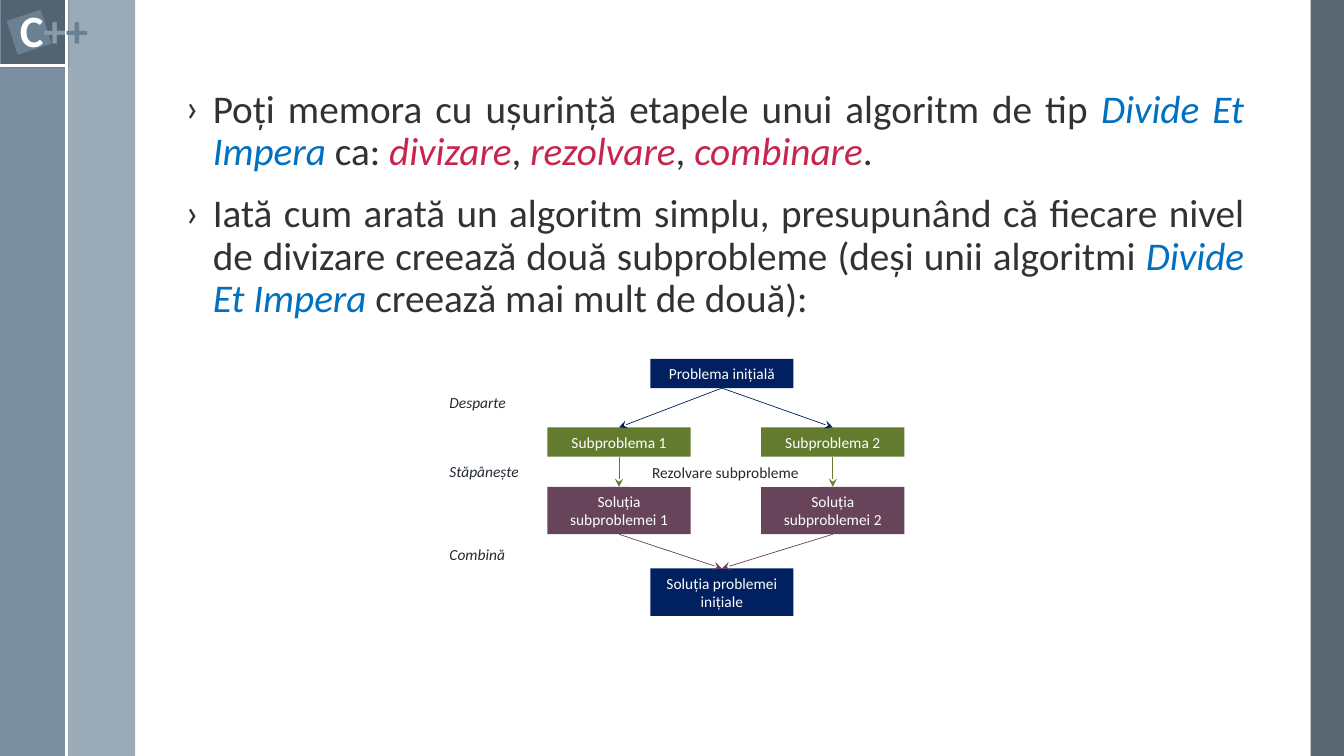
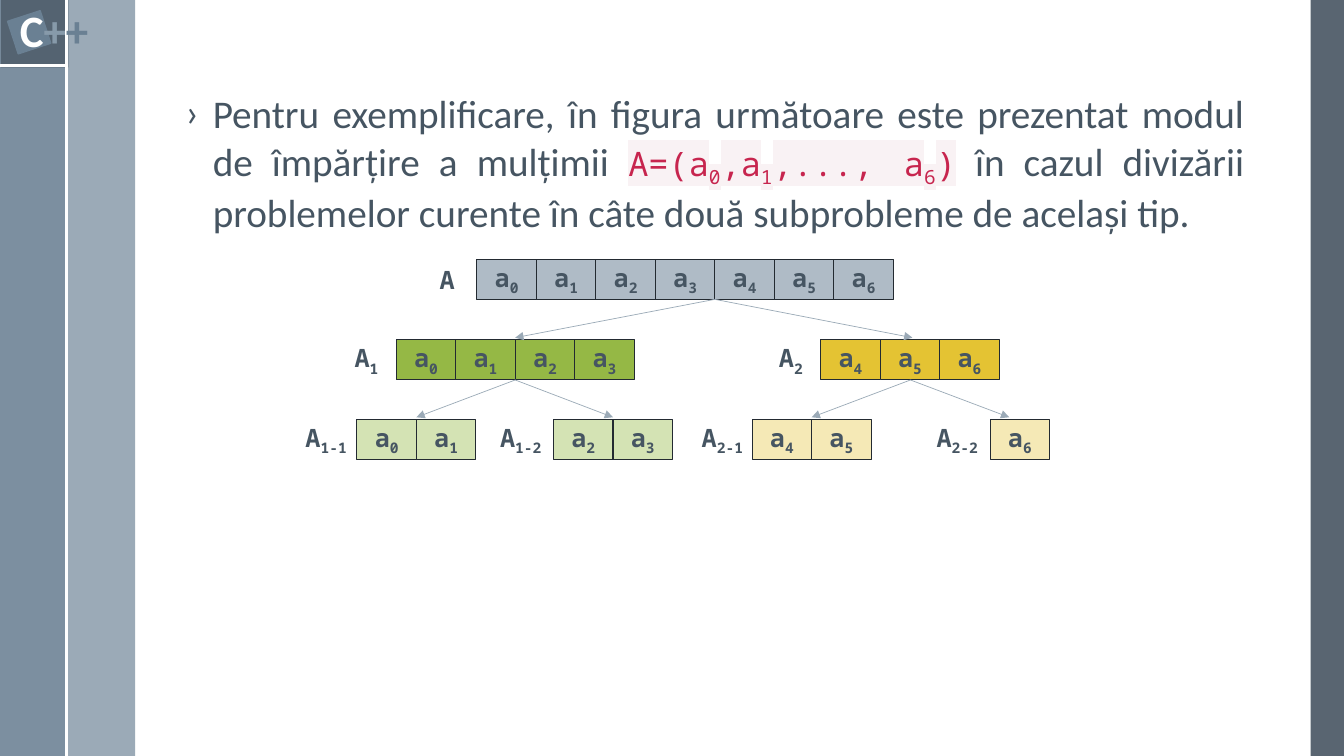
"""Build two slides that explain the Divide Et Impera technique."""
import dataclasses

import lxml.etree
import pptx
import pptx.dml.color
import pptx.enum.shapes
import pptx.enum.text
import pptx.oxml.ns
import pptx.shapes.autoshape
import pptx.shapes.base
import pptx.slide
import pptx.text.text
import pptx.util

RGBColor = pptx.dml.color.RGBColor
Align = pptx.enum.text.PP_ALIGN
qn = pptx.oxml.ns.qn

EMU_PER_PX = 9144
SLIDE_WIDTH, SLIDE_HEIGHT = 1333, 750
SANS, MONO = "Calibri", "Noto Sans Mono"

WHITE = RGBColor(0xFF, 0xFF, 0xFF)
DARK_SLATE = RGBColor(0x47, 0x55, 0x62)
SLATE = RGBColor(0x6A, 0x80, 0x93)
SOFT_SLATE = RGBColor(0x87, 0x9A, 0xAA)
LIGHT_SLATE = RGBColor(0x9B, 0xAA, 0xB7)
INK = RGBColor(0x23, 0x2A, 0x31)
BODY_GRAY = RGBColor(0x32, 0x32, 0x32)
BODY_SLATE = RGBColor(0x46, 0x55, 0x62)
BLUE = RGBColor(0x00, 0x70, 0xC0)
CRIMSON = RGBColor(0xC7, 0x25, 0x4E)
CODE_PINK = RGBColor(0xF9, 0xF2, 0xF4)
NAVY = RGBColor(0x00, 0x20, 0x60)
OLIVE = RGBColor(0x63, 0x7B, 0x2E)
PLUM = RGBColor(0x67, 0x44, 0x59)
CELL_GRAY = RGBColor(0xAF, 0xBB, 0xC6)
GREEN = RGBColor(0x95, 0xB8, 0x45)
GOLD = RGBColor(0xE4, 0xC3, 0x33)
PALE_GREEN = RGBColor(0xD4, 0xE3, 0xB4)
PALE_GOLD = RGBColor(0xF5, 0xE9, 0xB6)


@dataclasses.dataclass(frozen=True)
class TextRun:
    """A piece of text with its formatting."""
    text: str
    color: RGBColor
    size: int = 28
    font: str = SANS
    bold: bool = False
    italic: bool = False
    subscript: bool = False
    highlight: RGBColor | None = None


@dataclasses.dataclass(frozen=True)
class Area:
    """A rectangle in px."""
    left: int
    top: int
    width: int
    height: int

    @property
    def center(self) -> int:
        """Return the horizontal centre."""
        return self.left + self.width // 2

    @property
    def bottom(self) -> int:
        """Return the lower edge."""
        return self.top + self.height


@dataclasses.dataclass(frozen=True)
class Step:
    """A filled box of the flow diagram."""
    text: str
    area: Area
    color: RGBColor


@dataclasses.dataclass(frozen=True)
class Subset:
    """A row of cells in the division tree, with its label and arrow points."""
    index: str
    label_center: int
    left: int
    top: int
    first: int
    last: int
    color: RGBColor
    entry: int = 0
    split: int = 0


def px(value: int) -> pptx.util.Emu:
    """Turn px into EMU."""
    return pptx.util.Emu(value * EMU_PER_PX)


def bounds(area: Area) -> tuple[pptx.util.Emu, ...]:
    """Return an area as EMU lengths."""
    return tuple(px(value) for value in dataclasses.astuple(area))


def write_runs(paragraph: pptx.text.text._Paragraph, runs: list[TextRun]) -> None:
    """Add formatted runs to a paragraph."""
    for item in runs:
        run = paragraph.add_run()
        run.text = item.text
        run.font.size = pptx.util.Pt(item.size)
        run.font.name = item.font
        run.font.bold = item.bold
        run.font.italic = item.italic
        run.font.color.rgb = item.color
        properties = run._r.get_or_add_rPr()
        if item.subscript:
            properties.set("baseline", "-25000")
        if item.highlight is not None:
            highlight = lxml.etree.Element(qn("a:highlight"))
            lxml.etree.SubElement(highlight, qn("a:srgbClr"), val=str(item.highlight))
            properties.find(qn("a:solidFill")).addnext(highlight)


def add_rectangle(slide: pptx.slide.Slide, area: Area, color: RGBColor, opacity: int = 100,
                  outline: RGBColor | None = None, weight: float = 0.75) -> pptx.shapes.autoshape.Shape:
    """Add a flat rectangle."""
    shape = slide.shapes.add_shape(pptx.enum.shapes.MSO_SHAPE.RECTANGLE, *bounds(area))
    shape.shadow.inherit = False
    shape.fill.solid()
    shape.fill.fore_color.rgb = color
    if opacity < 100:
        color_element = shape.element.xpath("./p:spPr/a:solidFill/a:srgbClr")[0]
        lxml.etree.SubElement(color_element, qn("a:alpha"), val=str(opacity * 1000))
    if outline is None:
        shape.line.fill.background()
    else:
        shape.line.color.rgb = outline
        shape.line.width = pptx.util.Pt(weight)
    return shape


def fill_text(shape: pptx.shapes.autoshape.Shape, runs: list[TextRun],
              alignment: Align = Align.CENTER, wrap: bool = True) -> None:
    """Put one vertically centred paragraph into a shape."""
    frame = shape.text_frame
    frame.word_wrap = wrap
    frame.vertical_anchor = pptx.enum.text.MSO_ANCHOR.MIDDLE
    frame.paragraphs[0].alignment = alignment
    write_runs(frame.paragraphs[0], runs)


def add_line(slide: pptx.slide.Slide, start: tuple[int, int], end: tuple[int, int],
             color: RGBColor, weight: float, head: str = "") -> None:
    """Add a straight line, with an arrowhead at its end if one is named."""
    connector = slide.shapes.add_connector(
        pptx.enum.shapes.MSO_CONNECTOR.STRAIGHT, *(px(value) for value in start + end))
    connector.line.color.rgb = color
    connector.line.width = pptx.util.Pt(weight)
    if head:
        lxml.etree.SubElement(connector.element.xpath(".//a:ln")[0], qn("a:tailEnd"), type=head)
    lxml.etree.SubElement(connector.element.spPr, qn("a:effectLst"))


def draw_bands(slide: pptx.slide.Slide) -> None:
    """Draw the side bands and the corner mark."""
    add_rectangle(slide, Area(1300, 0, 33, SLIDE_HEIGHT), DARK_SLATE, 90)
    add_rectangle(slide, Area(67, 0, 67, SLIDE_HEIGHT), LIGHT_SLATE)
    add_rectangle(slide, Area(0, 0, 67, SLIDE_HEIGHT), SLATE, 88)
    add_rectangle(slide, Area(1, 0, 67, 67), DARK_SLATE, 75)
    add_line(slide, (0, 65), (66, 65), WHITE, 1.5)
    add_line(slide, (66, 0), (66, SLIDE_HEIGHT), WHITE, 1.5)
    add_rectangle(slide, Area(12, 15, 34, 34), SLATE, outline=SLATE, weight=1).rotation = 341.9
    mark = slide.shapes.add_textbox(*bounds(Area(19, 2, 69, 54)))
    frame = mark.text_frame
    frame.margin_left = frame.margin_right = frame.margin_top = frame.margin_bottom = 0
    letters = (("C", WHITE), ("+", SOFT_SLATE), ("+", SLATE))
    fill_text(mark, [TextRun(text, color, 32, bold=True) for text, color in letters], wrap=False)


def prepare_layout(slide: pptx.slide.Slide) -> None:
    """Move the bands into the slide's layout and place the layout's body."""
    layout = slide.slide_layout
    own_shapes = set(shape.shape_id for shape in slide.shapes)
    draw_bands(slide)
    bands = [shape for shape in slide.shapes if shape.shape_id not in own_shapes]
    for number, shape in enumerate(bands, 100):
        shape.element.xpath(".//p:cNvPr")[0].set("id", str(number))
        layout.shapes.element.append(shape.element)
    body = next(item for item in layout.placeholders if item.placeholder_format.idx == 1)
    body.left, body.top, body.width, body.height = bounds(Area(174, 84, 1070, 591))


def write_body(slide: pptx.slide.Slide, bullets: list[list[TextRun]], line_spacing: float) -> None:
    """Write the justified bullet list and drop the unused title."""
    title = slide.shapes.title.element
    title.getparent().remove(title)
    frame = slide.placeholders[1].text_frame
    frame.auto_size = pptx.enum.text.MSO_AUTO_SIZE.NONE
    frame.vertical_anchor = pptx.enum.text.MSO_ANCHOR.TOP
    for number, runs in enumerate(bullets):
        paragraph = frame.add_paragraph() if number else frame.paragraphs[0]
        paragraph.alignment = Align.JUSTIFY
        paragraph.line_spacing = line_spacing
        paragraph.space_before = pptx.util.Pt(14)
        properties = paragraph._p.get_or_add_pPr()
        properties.set("marL", str(px(27)))
        properties.set("indent", str(px(-27)))
        lxml.etree.SubElement(properties, qn("a:buFont"), typeface=SANS)
        lxml.etree.SubElement(properties, qn("a:buChar"), char="›")
        write_runs(paragraph, runs)


def draw_flow(slide: pptx.slide.Slide) -> None:
    """Draw the split, solve and combine diagram."""
    width, low, high = 142, 29, 47
    left, middle, right = 543, 645, 755
    problem = Step("Problema inițială", Area(middle, 356, width, low), NAVY)
    parts = [Step(f"Subproblema {number}", Area(x, 424, width, low), OLIVE)
             for number, x in enumerate((left, right), 1)]
    answers = [Step(f"Soluția subproblemei {number}", Area(x, 483, width, high), PLUM)
               for number, x in enumerate((left, right), 1)]
    solution = Step("Soluția problemei inițiale", Area(middle, 564, width, high), NAVY)
    for step in (problem, *parts, *answers, solution):
        fill_text(add_rectangle(slide, step.area, step.color), [TextRun(step.text, WHITE, 11)])
    for text, top in (("Desparte", 385), ("Stăpânește", 453), ("Combină", 535)):
        label = add_rectangle(slide, Area(436, top, 106, low), WHITE, outline=WHITE)
        fill_text(label, [TextRun(text, INK, 11, italic=True)], Align.LEFT)
    label = add_rectangle(slide, Area(625, 454, 189, low), WHITE, outline=WHITE)
    fill_text(label, [TextRun("Rezolvare subprobleme", INK, 11)])
    for part, answer in zip(parts, answers):
        for source, target in ((problem, part), (part, answer), (answer, solution)):
            add_line(slide, (source.area.center, source.area.bottom),
                     (target.area.center, target.area.top), source.color, 0.5, "stealth")


def cell_runs(letter: str, index: str) -> list[TextRun]:
    """Return a bold letter followed by its index, if any."""
    runs = [TextRun(letter, BODY_SLATE, 18, MONO, bold=True)]
    if index:
        runs.append(TextRun(index, BODY_SLATE, 18, MONO, bold=True, subscript=True))
    return runs


def draw_tree(slide: pptx.slide.Slide) -> None:
    """Draw the set A and its repeated division."""
    cell_width, cell_height, label_width = 59, 40, 63
    subsets = (
        Subset("", 443, 473, 257, 0, 6, CELL_GRAY, split=709),
        Subset("1", 363, 393, 337, 0, 3, GREEN, 511, 511),
        Subset("2", 784, 814, 337, 4, 6, GOLD, 905, 903),
        Subset("1-1", 323, 354, 416, 0, 1, PALE_GREEN, 413),
        Subset("1-2", 516, 549, 416, 2, 3, PALE_GREEN, 608),
        Subset("2-1", 716, 746, 416, 4, 5, PALE_GOLD, 805),
        Subset("2-2", 949, 982, 416, 6, 6, PALE_GOLD, 1001),
    )
    by_index = {subset.index: subset for subset in subsets}
    for subset in subsets:
        for position, number in enumerate(range(subset.first, subset.last + 1)):
            area = Area(subset.left + position * cell_width, subset.top, cell_width, cell_height)
            cell = add_rectangle(slide, area, subset.color, outline=INK)
            fill_text(cell, cell_runs("a", str(number)))
        label_area = Area(subset.label_center - label_width // 2, subset.top, label_width, cell_height)
        label = slide.shapes.add_textbox(*bounds(label_area))
        fill_text(label, cell_runs("A", subset.index), wrap=False)
    for subset in subsets[1:]:
        parent = by_index[subset.index.rpartition("-")[0]]
        add_line(slide, (parent.split, parent.top + cell_height),
                 (subset.entry, subset.top - 2), LIGHT_SLATE, 0.5, "triangle")


def flow_bullets() -> list[list[TextRun]]:
    """Return the text of the first slide."""
    def plain(text: str) -> TextRun:
        return TextRun(text, BODY_GRAY)

    def stage(text: str) -> TextRun:
        return TextRun(text, CRIMSON, italic=True)

    technique = TextRun("Divide Et Impera", BLUE, italic=True)
    return [
        [plain("Poți memora cu ușurință etapele unui algoritm de tip "), technique, plain(" ca: "),
         stage("divizare"), plain(", "), stage("rezolvare"), plain(", "), stage("combinare"), plain(".")],
        [plain("Iată cum arată un algoritm simplu, presupunând că fiecare nivel de divizare creează "
               "două subprobleme (deși unii algoritmi "), technique, plain(" creează mai mult de două):")],
    ]


def tree_bullets() -> list[list[TextRun]]:
    """Return the text of the second slide."""
    code = [TextRun(text, CRIMSON, 24, MONO, subscript=text.isdigit(), highlight=CODE_PINK)
            for text in ("A=(a", "0", ",a", "1", ",..., a", "6", ")")]
    return [[
        TextRun("Pentru exemplificare, în figura următoare este prezentat modul de împărțire a mulțimii ",
                BODY_SLATE), *code,
        TextRun(" în cazul divizării problemelor curente în câte două subprobleme de același tip.",
                BODY_SLATE)]]


def main() -> None:
    """Build and save the presentation."""
    presentation = pptx.Presentation()
    presentation.slide_width, presentation.slide_height = px(SLIDE_WIDTH), px(SLIDE_HEIGHT)
    layout = presentation.slide_layouts[1]
    flow_slide, tree_slide = (presentation.slides.add_slide(layout) for _ in range(2))
    prepare_layout(flow_slide)
    write_body(flow_slide, flow_bullets(), 0.9)
    draw_flow(flow_slide)
    write_body(tree_slide, tree_bullets(), 1.0)
    draw_tree(tree_slide)
    presentation.save("out.pptx")


if __name__ == "__main__":
    main()
